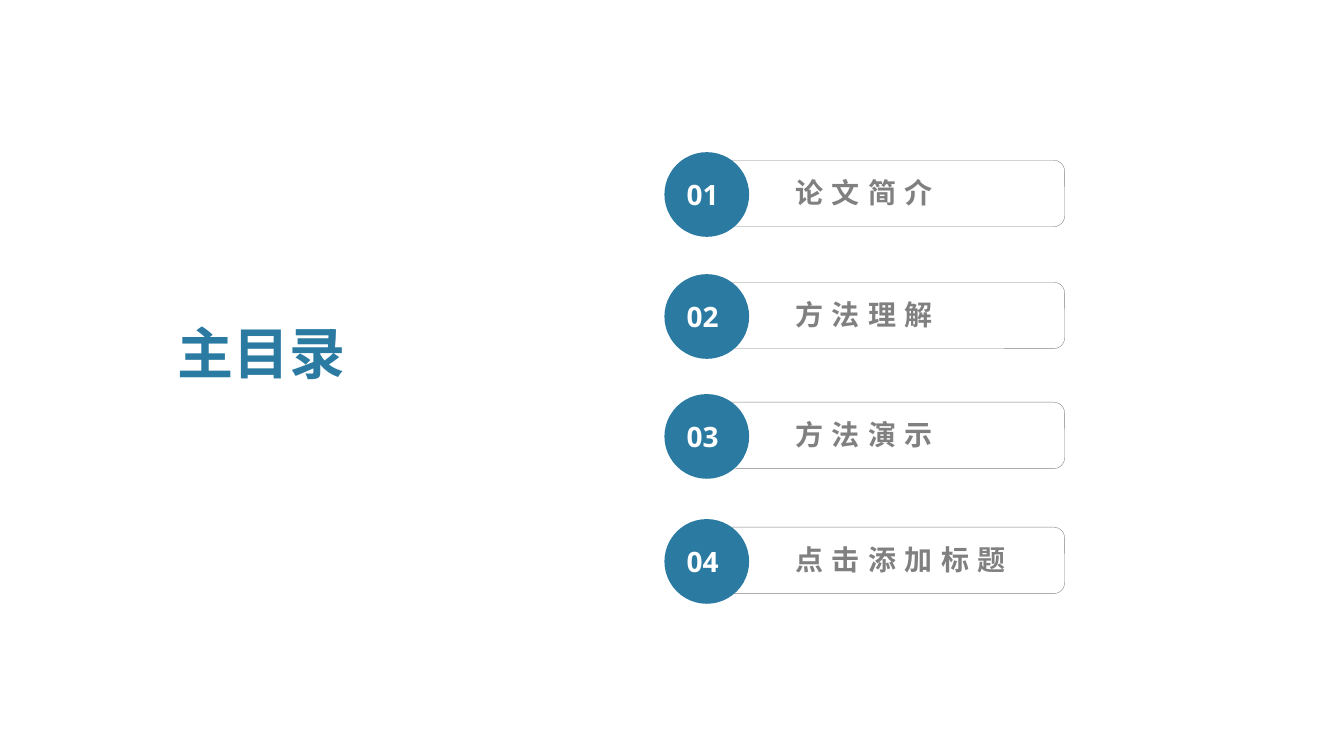
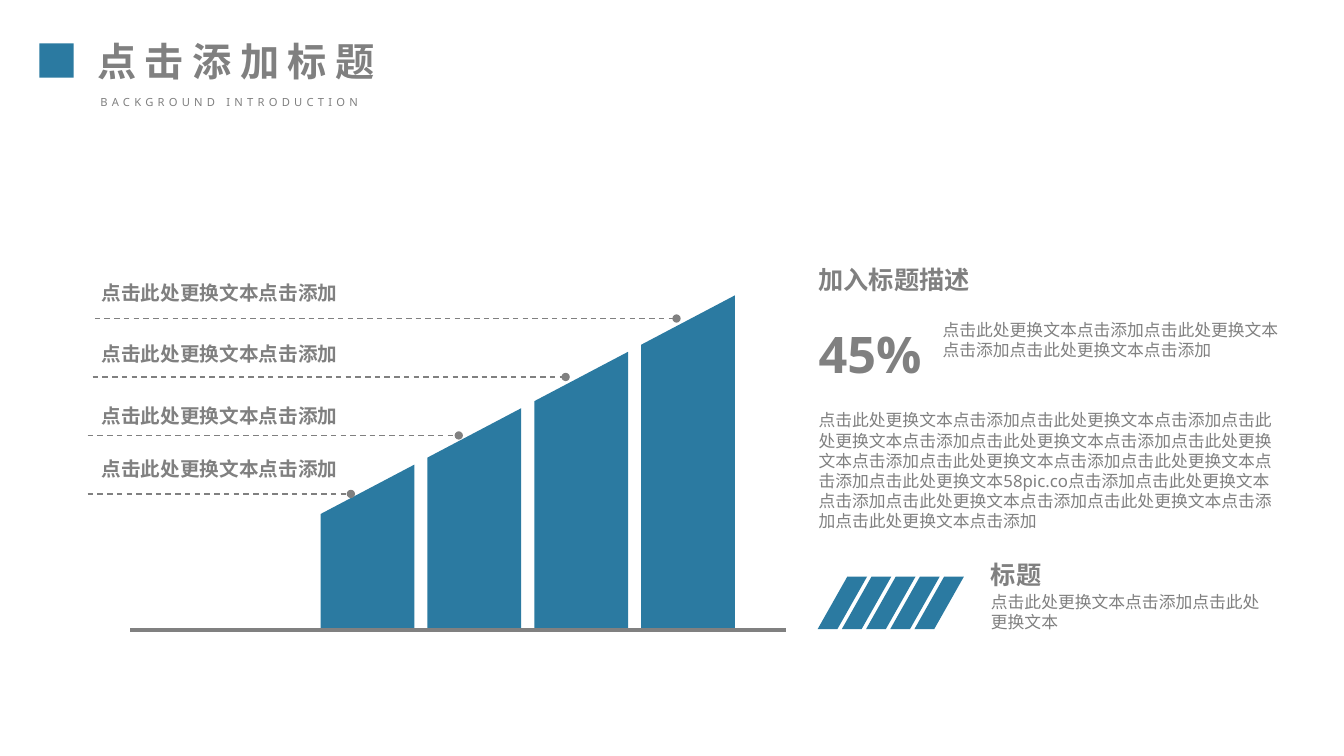
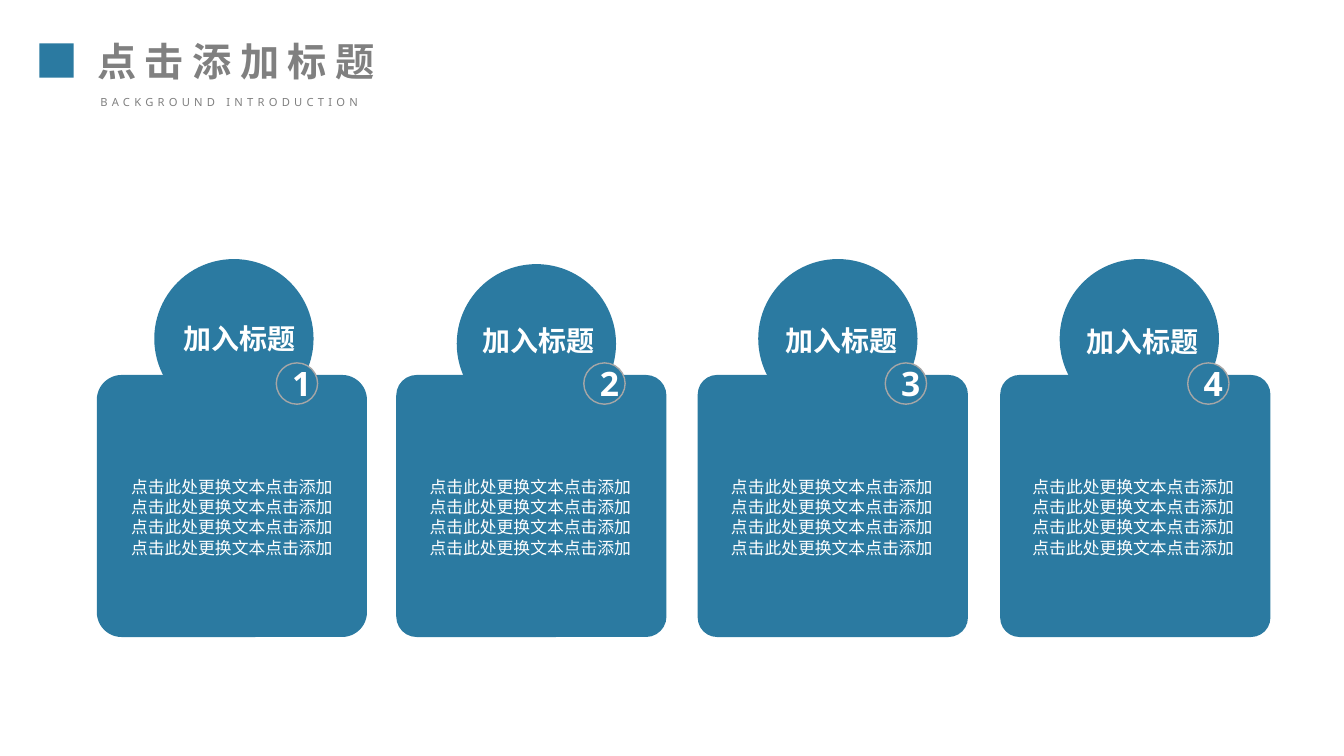
"""Build three slides: a contents list, a rising bar diagram and four numbered cards."""
from dataclasses import dataclass

from lxml import etree
from pptx import Presentation
from pptx import util as u
from pptx.dml.color import RGBColor
from pptx.enum import dml, shapes, text
from pptx.oxml import ns

Inches, Pt = u.Inches, u.Pt
SHAPE, ALIGN, ANCHOR = shapes.MSO_SHAPE, text.PP_ALIGN, text.MSO_ANCHOR


@dataclass(frozen=True)
class Theme:
    blue: str = "2B7AA1"
    grey: str = "808080"
    ring: str = "A6A6A6"
    white: str = "FFFFFF"
    font: str = "Noto Sans"
    heading_font: str = "Manrope"
    cover: int = 40
    figure: int = 36
    title: int = 28
    badge: int = 24
    entry: int = 20
    heading: int = 18
    callout: int = 14
    body: int = 12
    caption: int = 8


THEME = Theme()

CONTENTS_TITLE = "主目录"
CONTENTS = [
    ("01", "论文简介", 1.51),
    ("02", "方法理解", 2.72),
    ("03", "方法演示", 3.91),
    ("04", "点击添加标题", 5.15),
]

SECTION_TITLE = "点击添加标题"
SECTION_CAPTION = "BACKGROUND INTRODUCTION"
PHRASE = "点击此处更换文本点击添加"

BASELINE = 6.25
CALLOUTS = [
    (PHRASE, 4.48, 0.87, 3.48),
    (PHRASE, 3.96, 0.87, 4.55),
    (PHRASE, 3.34, 0.92, 5.61),
    (PHRASE, 2.74, 0.94, 6.71),
]
HEADINGS = [
    ("加入标题描述", (8.02, 2.57, 2.3, 0.4), THEME.heading, THEME.font),
    ("45%", (8.02, 3.16, 1.35, 0.71), THEME.figure, THEME.font),
    ("标题", (9.73, 5.5, 1.48, 0.4), THEME.heading, THEME.heading_font),
]
DESCRIPTIONS = [
    (PHRASE * 3, (9.25, 3.12, 3.62, 0.5)),
    (PHRASE * 7 + "点击此处更换文本58pic.co点击添加" + PHRASE * 4, (8.02, 4.02, 4.75, 1.72)),
    (PHRASE + "点击此处更换文本", (9.73, 5.82, 2.9, 0.5)),
]
STRIPE_COUNT = 5

CARD_TITLE = "加入标题"
CARD_LINES = [PHRASE] * 4
CARDS = [
    dict(left=0.96, disc=(1.53, 2.57), badge=2.74, label=(1.72, 3.14), body=0.56, corner=0.095),
    dict(left=3.93, disc=(4.53, 2.62), badge=5.79, label=(4.69, 3.16), body=3.52, corner=0.078),
    dict(left=6.92, disc=(7.52, 2.57), badge=8.78, label=(7.69, 3.16), body=6.51, corner=0.074),
    dict(left=9.92, disc=(10.51, 2.57), badge=11.78, label=(10.68, 3.17), body=9.5, corner=0.074),
]


def inches(values):
    return [Inches(value) for value in values]


def rgb(colour):
    return RGBColor.from_string(colour)


def write(frame, lines, size, colour=THEME.grey, bold=False, align=ALIGN.LEFT,
          anchor=ANCHOR.TOP, wrap=True, tracking=0, font=THEME.font):
    frame.text = "\n".join(lines)
    frame.auto_size = text.MSO_AUTO_SIZE.NONE
    frame.word_wrap = wrap
    frame.vertical_anchor = anchor
    for line in frame.paragraphs:
        line.alignment = align
        line.font.name, line.font.size, line.font.bold = font, Pt(size), bold
        line.font.color.rgb = rgb(colour)
        if tracking:
            line._p.pPr.find(ns.qn("a:defRPr")).set("spc", str(tracking * 100))


def add_text(slide, box, lines, size, margin=None, **style):
    frame = slide.shapes.add_textbox(*inches(box)).text_frame
    if margin is not None:
        frame.margin_left = frame.margin_right = Inches(margin)
        frame.margin_top = frame.margin_bottom = Inches(margin)
    write(frame, lines, size, **style)


def paint(shape, fill=THEME.blue, line=None, width=1):
    shape.shadow.inherit = False
    if fill:
        shape.fill.solid()
        shape.fill.fore_color.rgb = rgb(fill)
    else:
        shape.fill.background()
    if line:
        shape.line.color.rgb = rgb(line)
        shape.line.width = Pt(width)
    else:
        shape.line.fill.background()
    return shape


def add_block(slide, preset, box, corner=None, **look):
    shape = slide.shapes.add_shape(preset, *inches(box))
    if corner is not None:
        shape.adjustments[0] = corner
    return paint(shape, **look)


def add_rule(slide, start, end, width, dotted_end=False):
    rule = slide.shapes.add_connector(shapes.MSO_CONNECTOR.STRAIGHT, *inches(start + end))
    rule.line.color.rgb = rgb(THEME.grey)
    rule.line.width = Pt(width)
    if dotted_end:
        rule.line.dash_style = dml.MSO_LINE.DASH
        etree.SubElement(rule.line._get_or_add_ln(), ns.qn("a:tailEnd"), type="oval")
    etree.SubElement(rule._element.spPr, ns.qn("a:effectLst"))


def add_slide(deck, title, box, size, **style):
    slide = deck.slides.add_slide(deck.slide_layouts[5])
    heading = slide.shapes.title
    heading.left, heading.top, heading.width, heading.height = inches(box)
    write(heading.text_frame, [title], size, bold=True, **style)
    return slide


def add_section_slide(deck):
    slide = add_slide(deck, SECTION_TITLE, (0.69, 0.32, 3.3, 0.57), THEME.title,
                      align=ALIGN.CENTER, tracking=6)
    add_text(slide, (0.69, 0.9, 3.17, 0.24), [SECTION_CAPTION], THEME.caption,
             align=ALIGN.CENTER, tracking=3)
    add_block(slide, SHAPE.RECTANGLE, (0.39, 0.43, 0.34, 0.34))
    return slide


def build_contents(deck):
    slide = add_slide(deck, CONTENTS_TITLE, (1.66, 2.98, 2.62, 0.86), THEME.cover,
                      colour=THEME.blue, align=ALIGN.JUSTIFY)
    slide.shapes.title.text_frame.paragraphs[0].line_spacing = 1.2
    for number, entry, top in CONTENTS:
        add_block(slide, SHAPE.ROUNDED_RECTANGLE, (7.01, top + 0.08, 3.55, 0.66),
                  fill=None, line=THEME.grey, width=0.25)
        add_text(slide, (7.79, top + 0.18, 2.39, 0.44), [entry], THEME.entry,
                 bold=True, wrap=False, tracking=6)
        disc = add_block(slide, SHAPE.OVAL, (6.59, top, 0.84, 0.84))
        disc.text_frame.margin_right = Inches(0.18)
        write(disc.text_frame, [number], THEME.entry, colour=THEME.white, bold=True,
              align=ALIGN.CENTER, anchor=ANCHOR.MIDDLE, wrap=False)


def add_bar(slide, index):
    left, right = 3.18 + 1.06 * index, 4.11 + 1.06 * index
    low, high = 5.1 - 0.56 * index, 4.61 - 0.56 * index
    corners = [(right, high), (right, BASELINE), (left, BASELINE), (left, low)]
    start, *others = [inches(corner) for corner in corners]
    outline = slide.shapes.build_freeform(*start)
    outline.add_line_segments(others, close=True)
    paint(outline.convert_to_shape())


def build_growth(deck):
    slide = add_section_slide(deck)
    for heading, box, size, font in HEADINGS:
        add_text(slide, box, [heading], size, bold=True, font=font)
    for description, box in DESCRIPTIONS:
        add_text(slide, box, [description], THEME.body)
    for index in range(STRIPE_COUNT):
        add_block(slide, SHAPE.PARALLELOGRAM, (8.11 + 0.24 * index, 5.72, 0.49, 0.52), corner=0.6)
    for index in range(len(CALLOUTS)):
        add_bar(slide, index)
    add_rule(slide, (1.29, BASELINE), (7.8, BASELINE), 2.25)
    for index, (callout, top, start, end) in enumerate(CALLOUTS):
        level = 4.9 - 0.58 * index
        add_rule(slide, (start, level), (end, level), 1, dotted_end=True)
        add_text(slide, (0.91, top, 2.56, 0.34), [callout], THEME.callout, bold=True, wrap=False)


def build_cards(deck):
    slide = add_section_slide(deck)
    for number, card in enumerate(CARDS, 1):
        add_block(slide, SHAPE.ROUNDED_RECTANGLE, (card["left"], 3.72, 2.68, 2.6),
                  corner=card["corner"])
        add_block(slide, SHAPE.OVAL, (*card["disc"], 1.58, 1.58))
        badge = add_block(slide, SHAPE.OVAL, (card["badge"], 3.6, 0.41, 0.41), line=THEME.ring)
        write(badge.text_frame, [str(number)], THEME.badge, colour=THEME.white, bold=True,
              align=ALIGN.CENTER, anchor=ANCHOR.MIDDLE)
        add_text(slide, (*card["label"], 1.32, 0.44), [CARD_TITLE], THEME.entry,
                 colour=THEME.white, bold=True, wrap=False)
        add_text(slide, (card["body"], 4.73, 3.48, 1.01), CARD_LINES, THEME.body,
                 margin=0, colour=THEME.white, align=ALIGN.CENTER)


def main():
    deck = Presentation()
    deck.slide_width, deck.slide_height = inches((13.33, 7.5))
    build_contents(deck)
    build_growth(deck)
    build_cards(deck)
    deck.save("out.pptx")


if __name__ == "__main__":
    main()
